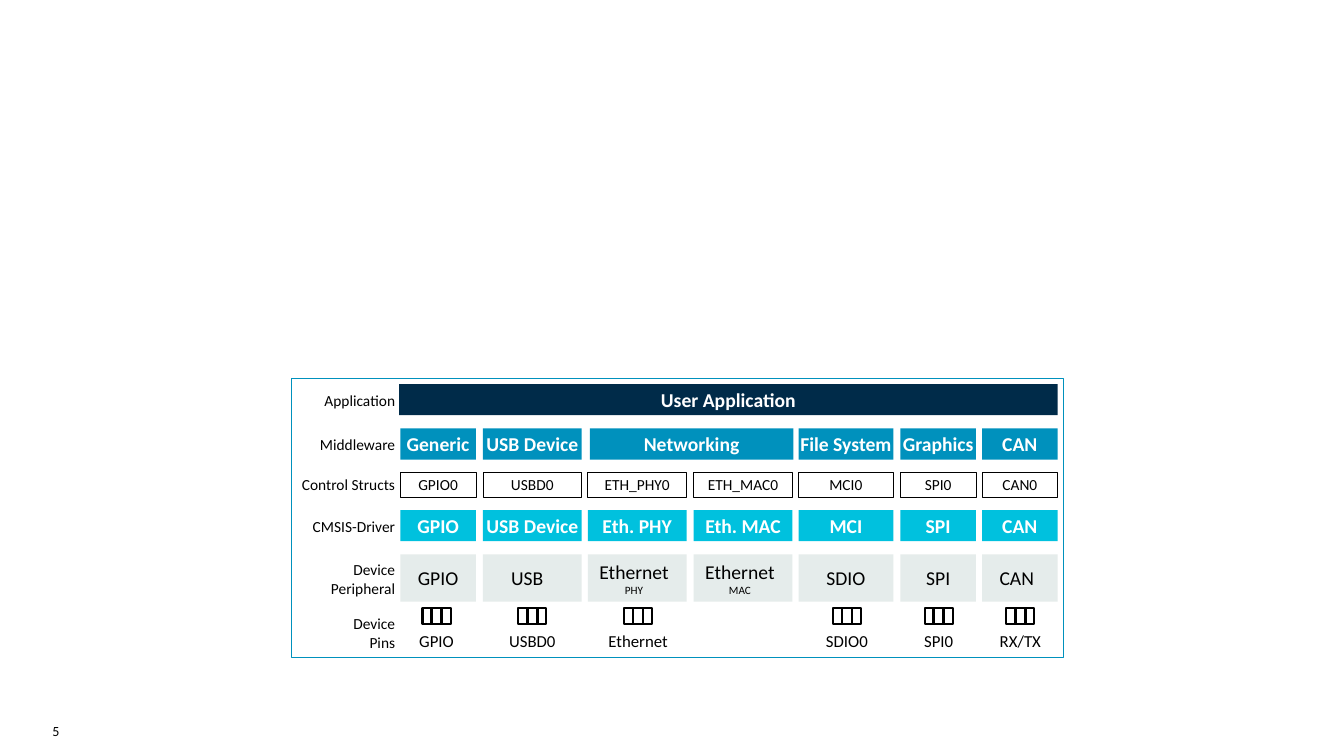
from lxml.etree import SubElement
from pptx import Presentation
from pptx.dml.color import RGBColor
from pptx.enum.shapes import MSO_CONNECTOR, MSO_SHAPE
from pptx.enum.text import MSO_ANCHOR, PP_ALIGN
from pptx.oxml.ns import qn
from pptx.util import Emu, Pt

NAVY = RGBColor(0x00, 0x2B, 0x49)
BLUE = RGBColor(0x00, 0x91, 0xBD)
CYAN = RGBColor(0x00, 0xC1, 0xDE)
GRAY = RGBColor(0xE5, 0xEC, 0xEB)
WHITE = RGBColor(0xFF, 0xFF, 0xFF)
BLACK = RGBColor(0x00, 0x00, 0x00)

SCALE = 9144


def px(*vals):
    return [Emu(val * SCALE) for val in vals]


def apply(target, values):
    for name, value in values.items():
        setattr(target, name, value)


class Board:
    face = "Calibri"

    def __init__(self, deck):
        self.slide = deck.slides.add_slide(deck.slide_layouts[6])
        self.shapes = self.slide.shapes

    def letter(self, shape, text, size, color=BLACK, bold=False, align=PP_ALIGN.CENTER,
               anchor=MSO_ANCHOR.MIDDLE, pad=(0, 0), wrap=True, small=None):
        frame = shape.text_frame
        left, right = px(*pad)
        apply(frame, {"text": text, "word_wrap": wrap, "vertical_anchor": anchor,
                      "margin_left": left, "margin_right": right,
                      "margin_top": 0, "margin_bottom": 0})
        for row, para in enumerate(frame.paragraphs):
            para.alignment = align
            points = small if row and small else size
            font = para.runs[0].font
            apply(font, {"name": self.face, "size": Pt(points), "bold": bold})
            font.color.rgb = color

    def box(self, area, fill=None, line=None, width=0.5, host=None):
        shape = (host or self.shapes).add_shape(MSO_SHAPE.RECTANGLE, *px(*area))
        shape.shadow.inherit = False
        if fill is None:
            shape.fill.background()
        else:
            shape.fill.solid()
            shape.fill.fore_color.rgb = fill
        if line is None:
            shape.line.fill.background()
        else:
            shape.line.color.rgb = line
            shape.line.width = Pt(width)
        return shape

    def block(self, area, text, fill):
        self.letter(self.box(area, fill), text, 14, WHITE, bold=True, wrap=False)

    def label(self, area, text, size, **style):
        self.letter(self.shapes.add_textbox(*px(*area)), text, size, **style)

    def pins(self, mid, top):
        host = self.shapes.add_group_shape().shapes
        left, wide, high = mid - 14, 28, 16
        self.box((left, top, wide, high), line=BLACK, width=1.5, host=host)
        for part in (1, 2):
            x = left + round(wide * part / 3)
            rule = host.add_connector(MSO_CONNECTOR.STRAIGHT, *px(x, top + high, x, top))
            rule.line.color.rgb = BLACK
            rule.line.width = Pt(1.75)
            SubElement(rule._element.spPr, qn("a:effectLst"))


COLS = [(397, 75), (479, 98), (583, 98), (688, 98), (792, 94), (893, 75), (974, 75)]
LABELS = [("Application", 381, 32), ("Middleware", 425, 32), ("Control Structs", 469, 24),
          ("CMSIS-Driver", 506, 32), ("Device\nPeripheral", 550, 48), ("Device\nPins", 604, 48)]
MIDDLE = [("Generic", COLS[0]), ("USB Device", COLS[1]), ("Networking", (585, 202)),
          ("File System", COLS[4]), ("Graphics", COLS[5]), ("CAN", COLS[6])]
STRUCTS = ["GPIO0", "USBD0", "ETH_PHY0", "ETH_MAC0", "MCI0", "SPI0", "CAN0"]
DRIVERS = ["GPIO", "USB Device", "Eth. PHY", "Eth. MAC", "MCI", "SPI", "CAN"]
DEVICES = [("GPIO", (8, 8)), ("USB", (10, 20)), ("Ethernet\nPHY", (10, 16)),
           ("Ethernet\nMAC", (10, 16)), ("SDIO", (8, 8)), ("SPI", (8, 8)), ("CAN", (10, 16))]
PINS = [("GPIO", 433), ("USBD0", 528), ("Ethernet", 633),
        ("SDIO0", 840), ("SPI0", 931), ("RX/TX", 1012)]


def main():
    deck = Presentation()
    deck.slide_width, deck.slide_height = px(1333, 750)
    board = Board(deck)
    board.label((52, 717, 143, 26), "5", 10, align=PP_ALIGN.LEFT, anchor=MSO_ANCHOR.TOP)
    board.box((289, 375, 766, 277), WHITE, BLUE)
    for text, top, high in LABELS:
        board.label((289, top, 107, high), text, 11, align=PP_ALIGN.RIGHT, pad=(0, 4))
    board.block((396, 381, 653, 31), "User Application", NAVY)
    for text, (left, wide) in MIDDLE:
        board.block((left, 425, wide, 31), text, BLUE)
    for (left, wide), struct, driver, (device, pad) in zip(COLS, STRUCTS, DRIVERS, DEVICES):
        board.letter(board.box((left, 469, wide, 24), line=BLACK), struct, 11)
        board.block((left, 506, wide, 31), driver, CYAN)
        board.letter(board.box((left, 550, wide, 47), GRAY), device, 14, pad=pad, small=8)
    for text, mid in PINS:
        board.pins(mid, 603)
        board.label((mid - 40, 621, 80, 30), text, 12)
    deck.save("out.pptx")


if __name__ == "__main__":
    main()
